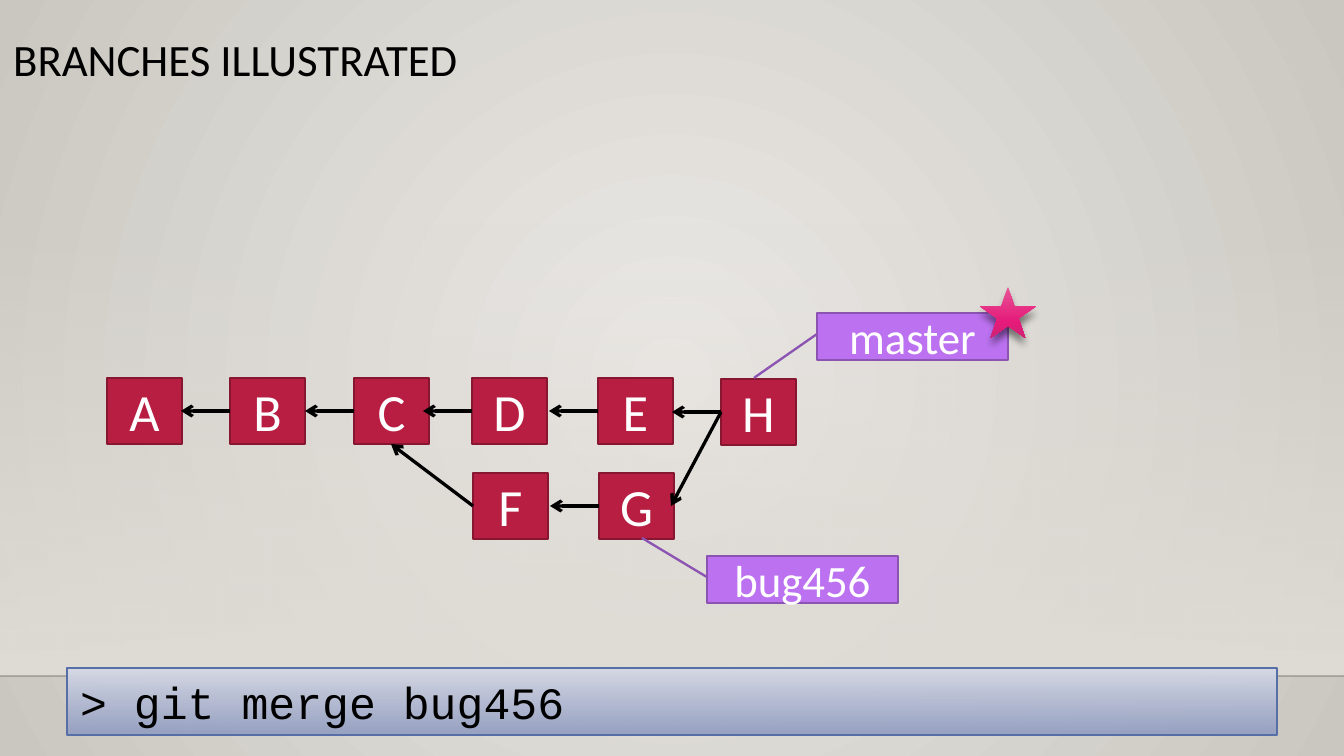
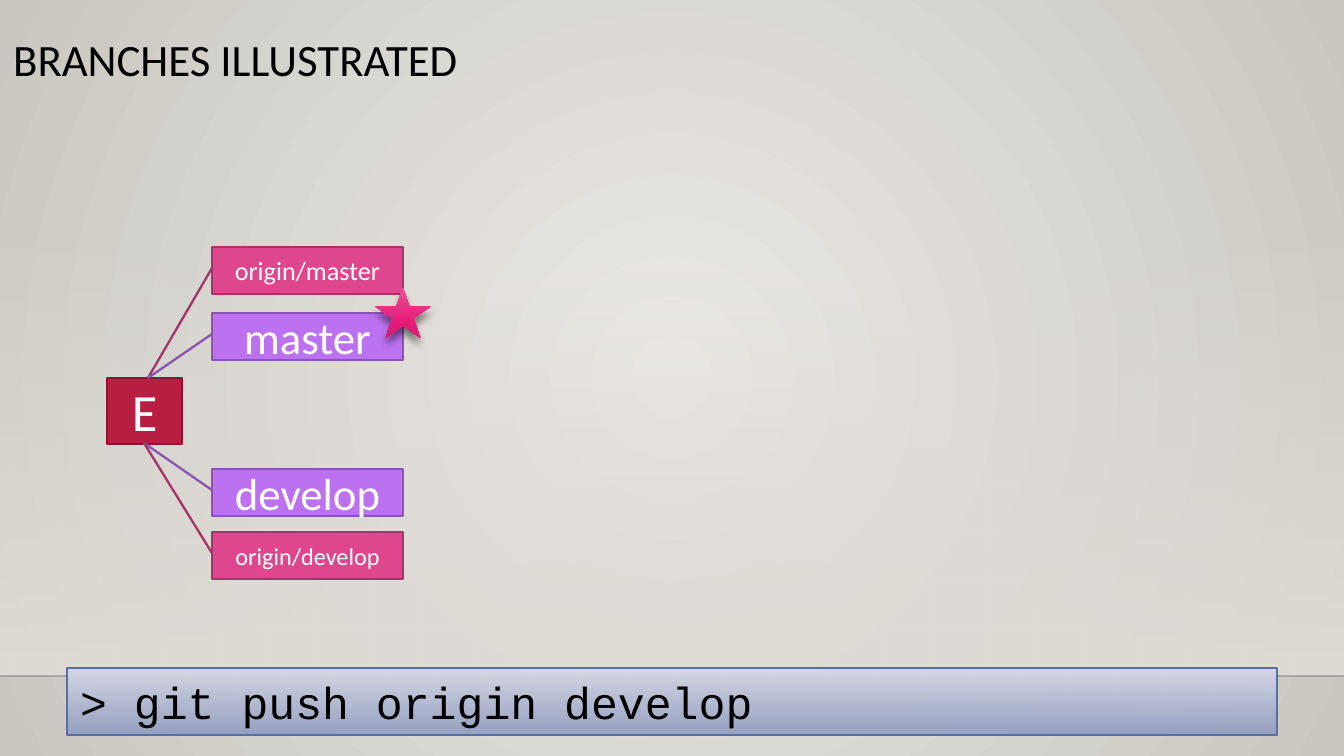
import pptx
import pptx.util
import pptx.dml.color
import pptx.enum.shapes
import pptx.enum.text
import pptx.oxml.ns
import lxml.etree

RGB = pptx.dml.color.RGBColor
SHAPE = pptx.enum.shapes.MSO_SHAPE
ALIGN = pptx.enum.text.PP_ALIGN
ANCHOR = pptx.enum.text.MSO_ANCHOR
Pt = pptx.util.Pt

BLACK = RGB(0x00, 0x00, 0x00)
WHITE = RGB(0xFF, 0xFF, 0xFF)
HORIZON = RGB(0x00, 0x00, 0x01)
COMMIT_FILL = RGB(0xB7, 0x1E, 0x42)
COMMIT_EDGE = RGB(0x87, 0x16, 0x31)
COMMAND_EDGE = RGB(0x58, 0x6E, 0xA6)
LOCAL = (RGB(0xBC, 0x72, 0xF0), RGB(0x8B, 0x54, 0xB2))
REMOTE = (RGB(0xDE, 0x47, 0x8E), RGB(0xA4, 0x35, 0x69))

# gradient stops: position %, colour, opacity %
BACKDROP = [(0, RGB(0xEC, 0xEA, 0xE7), 100), (100, RGB(0xCA, 0xC7, 0xC1), 100)]
WALL = [(0, RGB(0xDF, 0xDB, 0xD5), 0), (100, RGB(0xDF, 0xDB, 0xD5), 100)]
COMMAND_FILL = [(0, RGB(0xD6, 0xD9, 0xE5), 100), (100, RGB(0x92, 0x9D, 0xC0), 92)]
STAR_FILL = [(0, RGB(0xE7, 0x55, 0x97), 100), (69, RGB(0xE5, 0x1A, 0x79), 100),
             (100, RGB(0xCF, 0x23, 0x74), 100)]

BODY_FONT = "Calibri"
CODE_FONT = "Courier New"
TITLE = "BRANCHES ILLUSTRATED"

EMU_PER_PX = 914400 / 134.4
SLIDE_W, SLIDE_H = 1344, 756
HORIZON_Y = 676
COMMIT_W, COMMIT_H = 75, 66
LABEL_W, LABEL_H = 191, 47
STAR_W, STAR_H = 56, 51
ARROW_LENGTH = 49

# commits: name -> left, top
# labels: text, left, top, callout tip, colours, text size, is current branch
SLIDES = [
    {
        "command": "> git merge bug456",
        "commits": {"A": (107, 378), "B": (230, 378), "C": (354, 378), "D": (472, 378),
                    "E": (598, 378), "F": (473, 473), "G": (599, 473), "H": (721, 379)},
        "straight": "BCDEGH",
        "slanted": [((473, 506), (391, 444)), ((721, 412), (671, 506))],
        "labels": [("master", 817, 313, (754, 378), LOCAL, 24, True),
                   ("bug456", 707, 556, (642, 538), LOCAL, 24, False)],
    },
    {
        "command": "> git push origin develop",
        "commits": {"E": (107, 378)},
        "straight": "",
        "slanted": [],
        "labels": [("origin/master", 212, 247, (148, 378), REMOTE, 14, False),
                   ("master", 212, 313, (148, 378), LOCAL, 24, True),
                   ("develop", 212, 469, (144, 443), LOCAL, 24, False),
                   ("origin/develop", 212, 532, (144, 443), REMOTE, 13, False)],
    },
]


def px(*lengths):
    return [round(length * EMU_PER_PX) for length in lengths]


def sub(parent, tag, **attributes):
    """Append a DrawingML child element."""
    child = lxml.etree.SubElement(parent, pptx.oxml.ns.qn("a:" + tag))
    for key, value in attributes.items():
        child.set(key, str(value))
    return child


def add_colour(parent, colour, opacity):
    sub(sub(parent, "srgbClr", val=colour), "alpha", val=opacity * 1000)


def apply_gradient(fill, owner, stops, radial=False):
    fill.gradient()
    gradient = owner.xpath(".//a:gradFill")[0]
    for child in list(gradient):
        gradient.remove(child)
    stop_list = sub(gradient, "gsLst")
    for position, colour, opacity in stops:
        add_colour(sub(stop_list, "gs", pos=position * 1000), colour, opacity)
    if radial:
        centre = dict.fromkeys("ltrb", 50000)
        sub(sub(gradient, "path", path="circle"), "fillToRect", **centre)
    else:
        sub(gradient, "lin", ang=90 * 60000, scaled=0)


def write(frame, text, size, colour, font=BODY_FONT, align=ALIGN.LEFT, anchor=ANCHOR.TOP):
    frame.word_wrap = True
    frame.vertical_anchor = anchor
    paragraph = frame.paragraphs[0]
    paragraph.alignment = align
    run = paragraph.add_run()
    run.text = text
    run.font.name = font
    run.font.size = Pt(size)
    run.font.color.rgb = colour
    return paragraph


def add_shape(slide, preset, box, fill, edge=None, edge_width=1.25):
    """Add a flat shape; fill is a colour or a list of gradient stops."""
    shape = slide.shapes.add_shape(preset, *px(*box))
    shape.shadow.inherit = False
    if isinstance(fill, list):
        apply_gradient(shape.fill, shape.element, fill)
    else:
        shape.fill.solid()
        shape.fill.fore_color.rgb = fill
    if edge is None:
        shape.line.fill.background()
    else:
        shape.line.color.rgb = edge
        shape.line.width = Pt(edge_width)
    return shape


def add_line(slide, start, end, colour, width):
    line = slide.shapes.add_connector(
        pptx.enum.shapes.MSO_CONNECTOR.STRAIGHT, *px(*start, *end))
    line.line.color.rgb = colour
    line.line.width = Pt(width)
    sub(line.element.spPr, "effectLst")
    return line


def add_arrow(slide, start, end):
    arrow = add_line(slide, start, end, BLACK, 1.75)
    sub(arrow.line._get_or_add_ln(), "tailEnd", type="arrow")


def add_scene(slide):
    """Draw the background, wall, horizon and title shared by all slides."""
    apply_gradient(slide.background.fill, slide.element, BACKDROP, radial=True)
    add_shape(slide, SHAPE.RECTANGLE, (0, 223, SLIDE_W, HORIZON_Y - 223), WALL)
    horizon = add_line(slide, (0, HORIZON_Y), (SLIDE_W, HORIZON_Y), HORIZON, 1)
    sub(horizon.element.xpath(".//a:ln//a:srgbClr")[0], "alpha", val=20000)
    title = slide.shapes.add_textbox(*px(0, 31, 1210, 126))
    write(title.text_frame, TITLE, 24, BLACK).line_spacing = 0.9


def add_command(slide, command):
    bar = add_shape(slide, SHAPE.RECTANGLE, (67, 668, 1210, 67),
                    COMMAND_FILL, COMMAND_EDGE, 0.75)
    write(bar.text_frame, command, 24, BLACK, CODE_FONT)
    bar.text_frame.auto_size = pptx.enum.text.MSO_AUTO_SIZE.SHAPE_TO_FIT_TEXT


def add_commit(slide, name, left, top):
    commit = add_shape(slide, SHAPE.RECTANGLE, (left, top, COMMIT_W, COMMIT_H),
                       COMMIT_FILL, COMMIT_EDGE)
    write(commit.text_frame, name, 28, WHITE, align=ALIGN.CENTER, anchor=ANCHOR.MIDDLE)


def add_star(slide, centre_x, label_top):
    star = add_shape(slide, SHAPE.STAR_5_POINT,
                     (centre_x - STAR_W / 2, label_top - 26, STAR_W, STAR_H), STAR_FILL)
    effects = star.element.xpath(".//a:effectLst")[0]
    shadow = sub(effects, "outerShdw", blurRad=Pt(4), dist=Pt(4), dir=90 * 60000, rotWithShape=0)
    add_colour(shadow, BLACK, 48)


def add_label(slide, text, left, top, tip, colours, size, current):
    label = add_shape(slide, SHAPE.LINE_CALLOUT_1, (left, top, LABEL_W, LABEL_H), *colours)
    tip_x, tip_y = tip
    anchors = (0.45, 0, (tip_y - top) / LABEL_H, (tip_x - left) / LABEL_W)
    for index, value in enumerate(anchors):
        label.adjustments[index] = value
    write(label.text_frame, text, size, WHITE, align=ALIGN.CENTER, anchor=ANCHOR.MIDDLE)
    if current:
        add_star(slide, left + LABEL_W, top)


def main():
    deck = pptx.Presentation()
    deck.slide_width, deck.slide_height = px(SLIDE_W, SLIDE_H)
    for content in SLIDES:
        slide = deck.slides.add_slide(deck.slide_layouts[6])
        add_scene(slide)
        for name, (left, top) in content["commits"].items():
            add_commit(slide, name, left, top)
        for name in content["straight"]:
            left, top = content["commits"][name]
            middle = top + COMMIT_H / 2
            add_arrow(slide, (left, middle), (left - ARROW_LENGTH, middle))
        for start, end in content["slanted"]:
            add_arrow(slide, start, end)
        add_command(slide, content["command"])
        for label in content["labels"]:
            add_label(slide, *label)
    deck.save("out.pptx")


if __name__ == "__main__":
    main()
